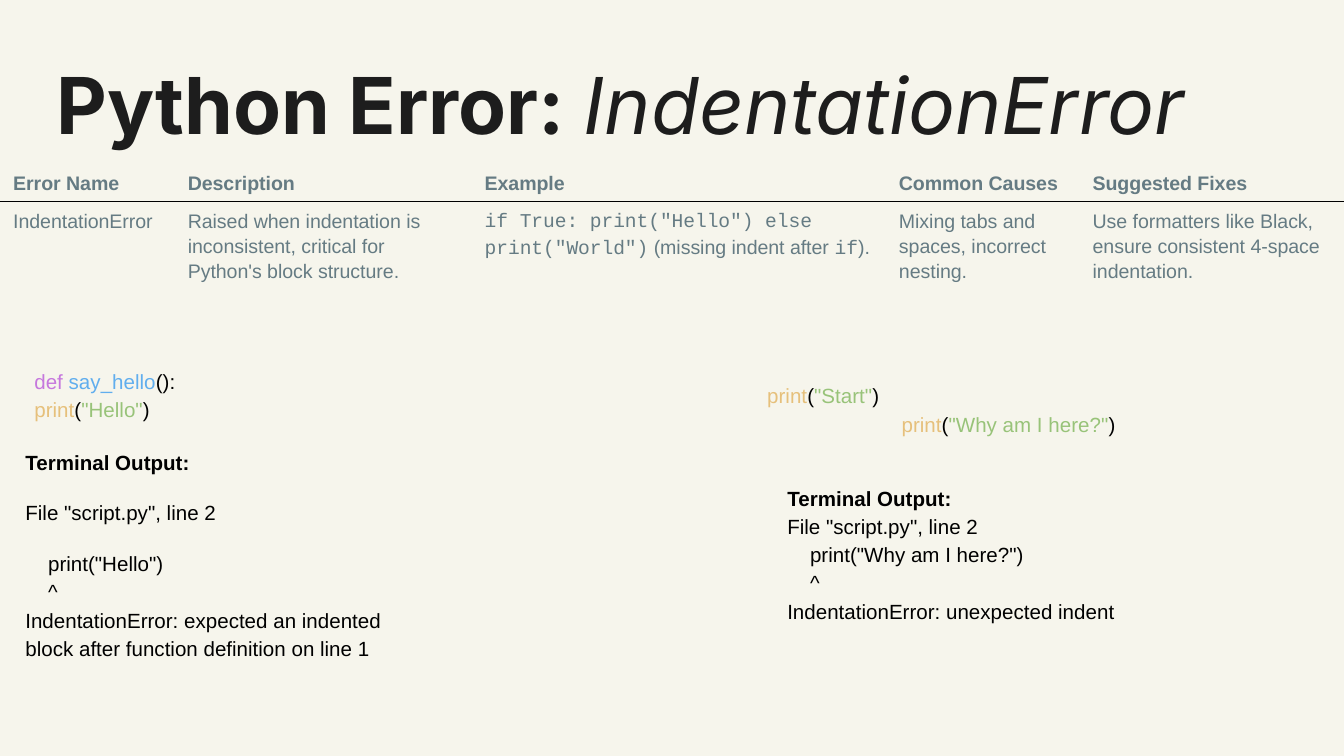
from dataclasses import dataclass
from typing import Optional

from lxml.etree import SubElement
from pptx import Presentation
from pptx.dml.color import RGBColor
from pptx.oxml import parse_xml
from pptx.oxml.ns import nsdecls, qn
from pptx.util import Cm, Pt

CREAM = RGBColor(0xF6, 0xF5, 0xEC)
INK = RGBColor(0x1D, 0x1D, 0x1D)
BLACK = RGBColor(0x00, 0x00, 0x00)
SLATE = RGBColor(0x65, 0x7B, 0x83)
PURPLE = RGBColor(0xC6, 0x78, 0xDD)
BLUE = RGBColor(0x61, 0xAE, 0xEE)
GOLD = RGBColor(0xE6, 0xC0, 0x7B)
GREEN = RGBColor(0x98, 0xC3, 0x79)
NO_STYLE = "{2D5ABB26-0587-4C30-8999-92F81FD0307C}"
CODE_INDENT = 0.43
TAB_INDENT = 2.54


@dataclass
class Run:
    text: str
    color: Optional[RGBColor] = None
    font: Optional[str] = None
    bold: Optional[bool] = None
    italic: Optional[bool] = None


@dataclass
class Para:
    runs: list[Run]
    bold: bool = False
    before: float = 0
    after: float = 0
    indent: float = 0
    spacing: float = 1.15


@dataclass
class Block:
    left: float
    top: float
    width: float
    height: float
    paras: list[Para]
    inset: float = 0.25
    font: str = "Arial"
    size: float = 11
    color: RGBColor = BLACK


def line(text: str, **style) -> Para:
    return Para([Run(text)], **style)


def print_call(text: str, indent: float = 0) -> Para:
    return Para([Run("print", GOLD), Run("("), Run(text, GREEN), Run(")")], indent=indent)


def write(tf, paras: list[Para], font: str, size: float, color: RGBColor) -> None:
    for i, para in enumerate(paras):
        p = tf.add_paragraph() if i else tf.paragraphs[0]
        p.line_spacing = para.spacing
        p.space_before = Pt(para.before)
        p.space_after = Pt(para.after)
        p.font.name = font
        p.font.size = Pt(size)
        p.font.bold = para.bold
        p.font.color.rgb = color
        if para.indent:
            pPr = p._p.get_or_add_pPr()
            pPr.set("marL", str(Cm(para.indent)))
            pPr.set("indent", "0")
        for run in para.runs:
            r = p.add_run()
            r.text = run.text
            if run.color is not None:
                r.font.color.rgb = run.color
            if run.font:
                r.font.name = run.font
            r.font.bold = run.bold
            r.font.italic = run.italic


def add_block(s, block: Block) -> None:
    sp = s.shapes.add_textbox(Cm(block.left), Cm(block.top), Cm(block.width), Cm(block.height))
    tf = sp.text_frame
    tf.word_wrap = True
    tf.margin_left = tf.margin_right = tf.margin_top = tf.margin_bottom = Cm(block.inset)
    write(tf, block.paras, block.font, block.size, block.color)


def add_rule(cell, side: str) -> None:
    ln = parse_xml(f'<a:{side} {nsdecls("a")} w="{Pt(0.75)}"/>')
    fill = SubElement(ln, qn("a:solidFill"))
    SubElement(fill, qn("a:srgbClr")).set("val", str(BLACK))
    cell._tc.get_or_add_tcPr().insert(0, ln)


def add_error_table(s, columns: list[tuple[float, str, list[Run]]]) -> None:
    heights = (0.71, 1.8)
    width = sum(column[0] for column in columns)
    frame = s.shapes.add_table(2, len(columns), 0, Cm(3.07), Cm(width), Cm(sum(heights)))
    table = frame.table
    table.first_row = table.horz_banding = False
    table._tbl.tblPr.find(qn("a:tableStyleId")).text = NO_STYLE
    for row, height in zip(table.rows, heights):
        row.height = Cm(height)
    for c, (col_width, heading, body) in enumerate(columns):
        table.columns[c].width = Cm(col_width)
        paras = (line(heading, bold=True, after=8), Para(body, after=8))
        for r, (para, side) in enumerate(zip(paras, ("lnB", "lnT"))):
            cell = table.cell(r, c)
            cell.margin_left = cell.margin_right = Cm(0.25)
            cell.margin_top = cell.margin_bottom = Cm(0.13)
            cell.fill.background()
            add_rule(cell, side)
            write(cell.text_frame, [para], "Arial", 10.5, SLATE)


MONO = "Courier New"
COLUMNS = [
    (3.3, "Error Name", [Run("IndentationError")]),
    (5.61, "Description", [Run(
        "Raised when indentation is inconsistent, critical for Python's block structure.")]),
    (7.83, "Example", [
        Run('if True: print("Hello") else print("World")', font=MONO),
        Run(" (missing indent after "), Run("if", font=MONO), Run(").")]),
    (3.66, "Common Causes", [Run("Mixing tabs and spaces, incorrect nesting.")]),
    (5, "Suggested Fixes", [Run(
        "Use formatters like Black, ensure consistent 4-space indentation.")]),
]

BLOCKS = [
    Block(1.07, 1.07, 24.33, 2.36, [
        Para([Run("Python Error: ", bold=True), Run("IndentationError", italic=True)], spacing=1),
    ], inset=0, font="Inter", size=42, color=INK),
    Block(0.4, 6.65, 8.33, 1.6, [
        Para([Run("def ", PURPLE), Run("say_hello", BLUE), Run("():")]),
        print_call('"Hello"'),
    ]),
    Block(0.23, 8.18, 7.5, 4.55, [
        line("Terminal Output:", bold=True, before=12),
        line('File "script.py", line 2', before=12),
        line('print("Hello")', before=12, indent=CODE_INDENT),
        line("^", indent=CODE_INDENT),
        line("IndentationError: expected an indented block after function definition on line 1"),
    ]),
    Block(14.25, 6.93, 8.33, 1.6, [
        print_call('"Start"'),
        print_call('"Why am I here?"', TAB_INDENT),
    ]),
    Block(14.63, 8.86, 8.33, 3.15, [
        line("Terminal Output:", bold=True),
        line('File "script.py", line 2'),
        line('print("Why am I here?")', indent=CODE_INDENT),
        line("^", indent=CODE_INDENT),
        line("IndentationError: unexpected indent"),
    ]),
]


def main() -> None:
    prs = Presentation()
    prs.slide_width, prs.slide_height = Cm(25.4), Cm(14.29)
    s = prs.slides.add_slide(prs.slide_layouts[6])
    s.background.fill.solid()
    s.background.fill.fore_color.rgb = CREAM
    add_error_table(s, COLUMNS)
    for block in BLOCKS:
        add_block(s, block)
    prs.save("out.pptx")


if __name__ == "__main__":
    main()
